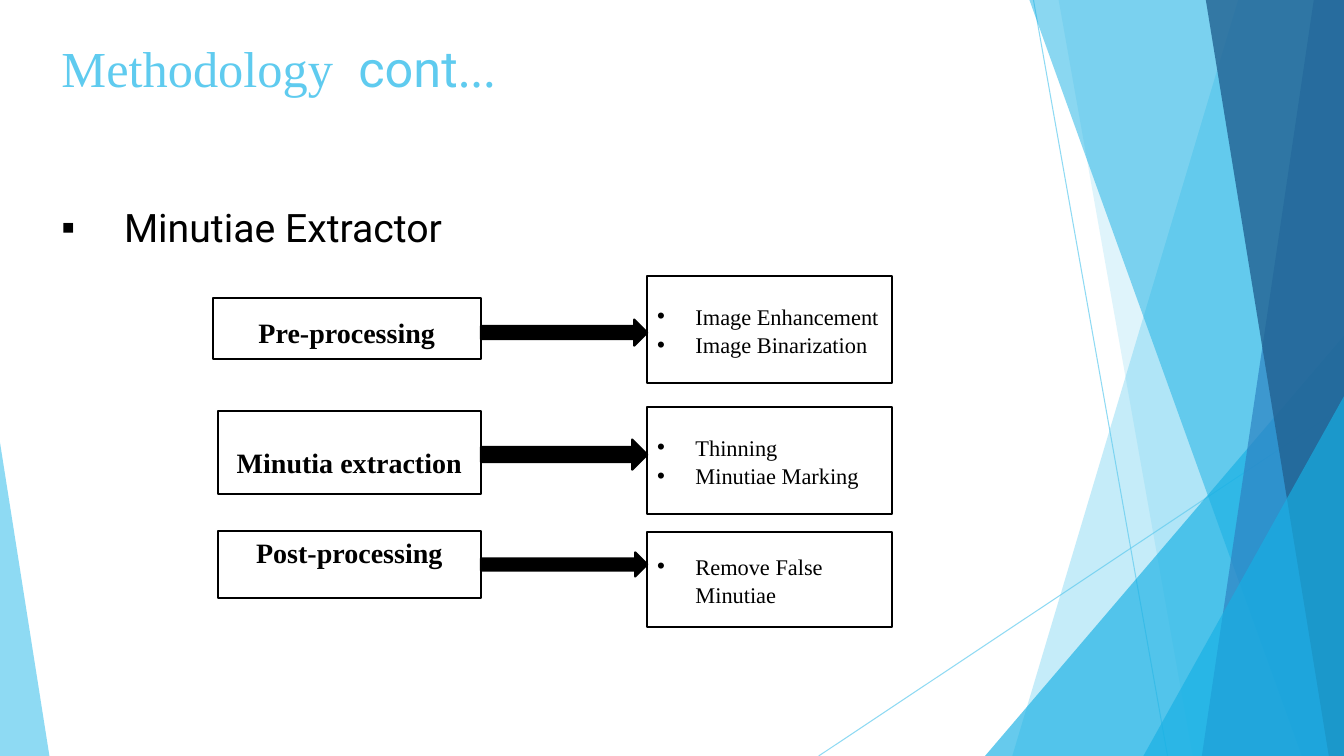
from lxml import etree
from pptx import Presentation
from pptx.dml.color import RGBColor
from pptx.enum import shapes, text
from pptx.oxml import ns
from pptx.util import Inches, Pt

BLACK = RGBColor(0x00, 0x00, 0x00)
WHITE = RGBColor(0xFF, 0xFF, 0xFF)
SKY = RGBColor(0x5F, 0xCB, 0xEF)
CYAN = RGBColor(0x17, 0xB0, 0xE4)
BLUE = RGBColor(0x2E, 0x83, 0xC3)
NAVY = RGBColor(0x22, 0x62, 0x92)
SERIF, SANS = "Times New Roman", "Roboto"
WIDTH, HEIGHT = 13.33, 7.5


def set_opacity(fill_parent, percent):
    """Make the solid colour inside an element partly transparent."""
    color = next(fill_parent.iter(ns.qn("a:srgbClr")))
    etree.SubElement(color, ns.qn("a:alpha"), val=str(percent * 1000))


def add_bullet(para, mark, indent):
    """Give a paragraph a bullet with a hanging indent."""
    props = para._p.get_or_add_pPr()
    props.set("marL", str(Inches(indent)))
    props.set("indent", str(-Inches(indent)))
    etree.SubElement(props, ns.qn("a:buFont"), typeface="Arial")
    etree.SubElement(props, ns.qn("a:buChar"), char=mark)


deck = Presentation()
deck.slide_width, deck.slide_height = Inches(WIDTH), Inches(HEIGHT)
page = deck.slides.add_slide(deck.slide_layouts[1])

# Background: two thin lines
for x1, y1, x2, y2 in [(10.25, 0, 11.58, HEIGHT), (WIDTH, 4.03, 8.12, HEIGHT)]:
    line = page.shapes.add_connector(
        shapes.MSO_CONNECTOR.STRAIGHT, Inches(x1), Inches(y1), Inches(x2), Inches(y2))
    line.line.color.rgb = SKY
    line.line.width = Pt(0.75)
    set_opacity(line.line._ln, 70)
    etree.SubElement(line._element.spPr, ns.qn("a:effectLst"))

# Background facets: bands (top x, bottom x) reach the right edge,
# triangles (left, top, width, apex) stand on the bottom edge
facets = [
    ("band", (12.28, 10.04), SKY, 36),
    ("band", (10.5, 11.83), SKY, 20),
    ("triangle", (9.77, 3.33, 3.56, 1), CYAN, 66),
    ("band", (10.21, 12.91), CYAN, 50),
    ("band", (13.03, 11.92), BLUE, 70),
    ("band", (11.96, 13.18), NAVY, 80),
    ("triangle", (11.34, 3.93, 1.99, 1), CYAN, 66),
    ("triangle", (0, 4.39, 0.49, 0), SKY, 70),
]
for kind, place, color, opacity in facets:
    if kind == "band":
        top_x, bottom_x = place
        outline = page.shapes.build_freeform(Inches(top_x), 0)
        outline.add_line_segments([
            (Inches(WIDTH), 0), (Inches(WIDTH), Inches(HEIGHT)),
            (Inches(bottom_x), Inches(HEIGHT))], close=True)
        facet = outline.convert_to_shape()
    else:
        left, top, width, apex = place
        facet = page.shapes.add_shape(
            shapes.MSO_SHAPE.ISOSCELES_TRIANGLE,
            Inches(left), Inches(top), Inches(width), Inches(HEIGHT - top))
        facet.adjustments[0] = apex
    facet.shadow.inherit = False
    facet.fill.solid()
    facet.fill.fore_color.rgb = color
    facet.line.fill.background()
    set_opacity(facet._element.spPr, opacity)

# Title
title = page.shapes.title
title.left, title.top, title.width, title.height = map(Inches, (0.51, 0.32, 9.59, 0.99))
title.text_frame.vertical_anchor = text.MSO_ANCHOR.TOP
para = title.text_frame.paragraphs[0]
para.alignment = text.PP_ALIGN.LEFT
para.font.size = Pt(36)
para.font.color.rgb = SKY
for words, font in [("Methodology  ", SERIF), ("cont", SANS), ("...", SERIF)]:
    span = para.add_run()
    span.text = words
    span.font.name = font

# Topic
body = page.placeholders[1]
body.left, body.top, body.width, body.height = map(Inches, (0.51, 1.97, 9.1, 0.6))
para = body.text_frame.paragraphs[0]
para.text = "Minutiae Extractor"
para.space_before = Pt(0)
add_bullet(para, "▪", 0.62)
para.font.size = Pt(28)
para.font.name = SANS
para.font.color.rgb = BLACK

# Flow rows: stage (left, top, height, text inset), arrow (top, height), detail (top, height)
STAGE_RIGHT, DETAIL_LEFT, DETAIL_RIGHT = 4.77, 6.42, 8.85
rows = [
    ("Pre-processing", (2.11, 2.96, 0.6, 0.15), (3.17, 0.26), (2.74, 1.06),
     ["Image Enhancement", "Image Binarization"]),
    ("Minutia extraction", (2.16, 4.08, 0.82, 0.32), (4.36, 0.3), (4.04, 1.06),
     ["Thinning", "Minutiae Marking"]),
    ("Post-processing", (2.16, 5.27, 0.66, 0.02), (5.48, 0.24), (5.28, 0.94),
     ["Remove False Minutiae"]),
]
for stage, stage_place, arrow_place, detail_place, steps in rows:
    stage_left, stage_top, stage_height, inset = stage_place
    parts = [
        (shapes.MSO_SHAPE.RECTANGLE, stage_left, STAGE_RIGHT, stage_top, stage_height,
         WHITE, [stage]),
        (shapes.MSO_SHAPE.RECTANGLE, DETAIL_LEFT, DETAIL_RIGHT, *detail_place, WHITE, steps),
        (shapes.MSO_SHAPE.RIGHT_ARROW, STAGE_RIGHT, DETAIL_LEFT, *arrow_place, BLACK, []),
    ]
    for preset, left, right, top, height, color, lines in parts:
        box = page.shapes.add_shape(
            preset, Inches(left), Inches(top), Inches(right - left), Inches(height))
        box.shadow.inherit = False
        box.fill.solid()
        box.fill.fore_color.rgb = color
        box.line.color.rgb = BLACK
        box.line.width = Pt(1.5)
        frame = box.text_frame
        frame.word_wrap = True
        is_stage = lines == [stage]
        if is_stage:
            frame.vertical_anchor = text.MSO_ANCHOR.TOP
            frame.margin_top = Inches(inset)
        for number, words in enumerate(lines):
            para = frame.add_paragraph() if number else frame.paragraphs[0]
            para.text = words
            para.line_spacing = 1.07
            para.alignment = text.PP_ALIGN.CENTER if is_stage else text.PP_ALIGN.LEFT
            if not is_stage:
                add_bullet(para, "•", 0.38)
            para.font.size = Pt(20 if is_stage else 16)
            para.font.bold = is_stage
            para.font.name = SERIF
            para.font.color.rgb = BLACK

deck.save("out.pptx")
